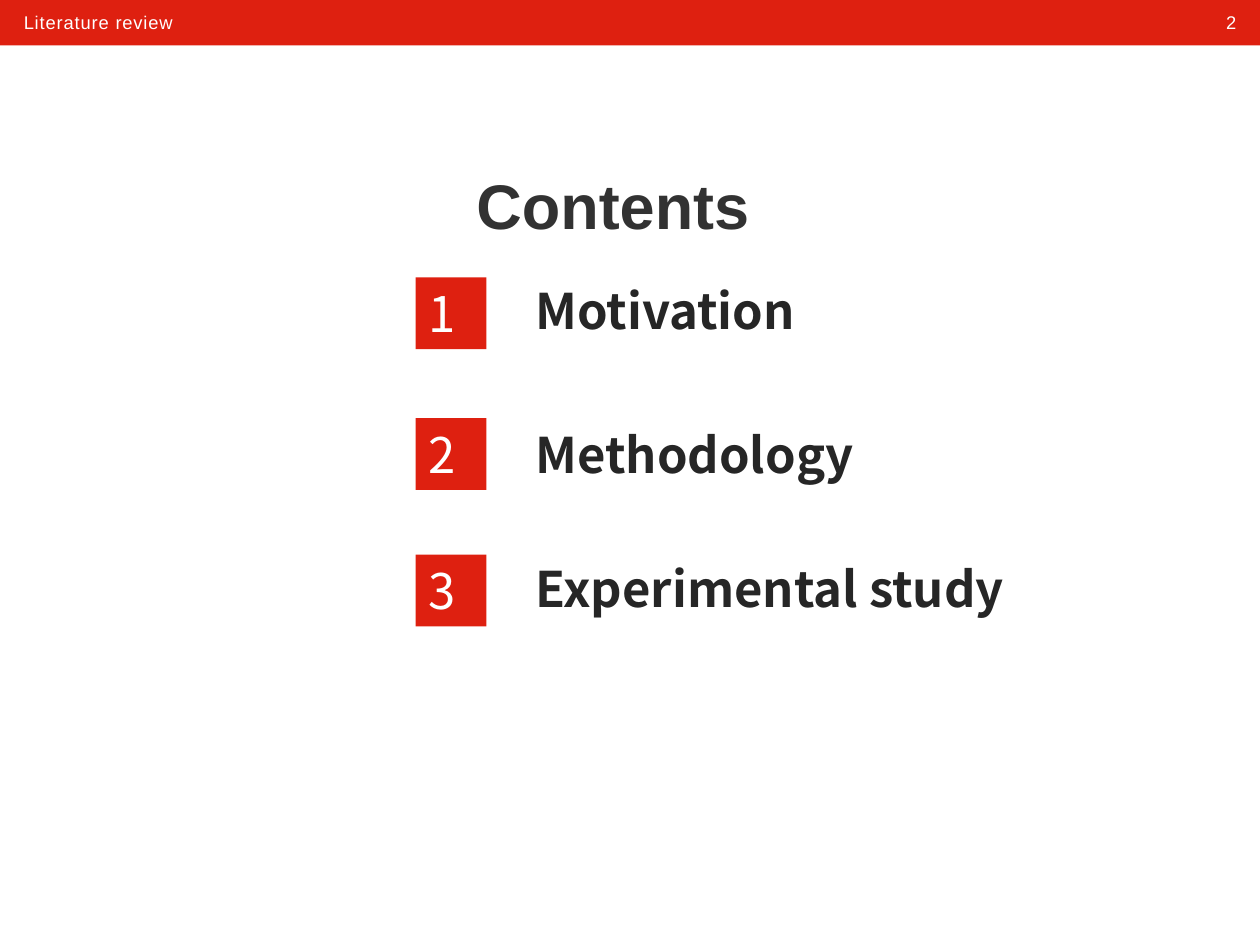
from dataclasses import dataclass

from pptx import Presentation
from pptx.dml.color import RGBColor
from pptx.enum.shapes import MSO_SHAPE
from pptx.enum.text import MSO_ANCHOR, MSO_AUTO_SIZE, PP_ALIGN
from pptx.shapes.autoshape import Shape
from pptx.slide import Slide
from pptx.util import Pt

RECT = MSO_SHAPE.RECTANGLE
LEFT, CENTER, RIGHT = PP_ALIGN.LEFT, PP_ALIGN.CENTER, PP_ALIGN.RIGHT
TOP, MIDDLE = MSO_ANCHOR.TOP, MSO_ANCHOR.MIDDLE
GROW, FIXED = MSO_AUTO_SIZE.SHAPE_TO_FIT_TEXT, MSO_AUTO_SIZE.NONE


@dataclass(frozen=True)
class TextStyle:
    font: str
    size: float
    color: str
    bold: bool = False
    spacing: float = 0


@dataclass(frozen=True)
class Theme:
    red: str = "DE2010"
    header: TextStyle = TextStyle("Arial", 10.5, "FFFFFF", spacing=0.5)
    title: TextStyle = TextStyle("Arial", 36, "323232", bold=True)
    number: TextStyle = TextStyle("Noto Sans CJK SC", 28, "FFFFFF")
    label: TextStyle = TextStyle("Noto Sans CJK SC", 28, "262626", bold=True)


@dataclass(frozen=True)
class Box:
    left: float
    top: float
    width: float
    height: float

    def lengths(self) -> tuple[Pt, Pt, Pt, Pt]:
        return Pt(self.left), Pt(self.top), Pt(self.width), Pt(self.height)


@dataclass(frozen=True)
class Entry:
    label: str
    number_top: float
    label_top: float


THEME = Theme()
SLIDE_W, SLIDE_H = 720, 540
ENTRY_H = 41
ENTRIES = (
    Entry("Motivation", 158.5, 157),
    Entry("Methodology", 239, 239),
    Entry("Experimental study", 317, 315.5),
)


def write(shape: Shape, text: str, style: TextStyle, align: PP_ALIGN = LEFT,
          anchor: MSO_ANCHOR = TOP, fit: MSO_AUTO_SIZE = GROW) -> None:
    tf = shape.text_frame
    tf.word_wrap = True
    tf.auto_size = fit
    tf.vertical_anchor = anchor
    p = tf.paragraphs[0]
    p.alignment = align
    r = p.add_run()
    r.text = text
    r.font.name = style.font
    r.font.size = Pt(style.size)
    r.font.bold = style.bold
    r.font.color.rgb = RGBColor.from_string(style.color)
    if style.spacing:
        r.font._element.set("spc", str(round(style.spacing * 100)))


def add_block(s: Slide, box: Box) -> Shape:
    """Add a red rectangle without outline or shadow."""
    sp = s.shapes.add_shape(RECT, *box.lengths())
    sp.shadow.inherit = False
    sp.fill.solid()
    sp.fill.fore_color.rgb = RGBColor.from_string(THEME.red)
    sp.line.fill.background()
    return sp


def add_text(s: Slide, box: Box, text: str, style: TextStyle, align: PP_ALIGN = LEFT,
             anchor: MSO_ANCHOR = TOP, fit: MSO_AUTO_SIZE = GROW) -> None:
    write(s.shapes.add_textbox(*box.lengths()), text, style, align, anchor, fit)


def add_header(s: Slide) -> None:
    add_block(s, Box(0, 0, SLIDE_W, 26))
    add_text(s, Box(661.5, 3, 52, 20), "2", THEME.header, RIGHT)
    add_text(s, Box(6.5, 3, 450, 20), "Literature review", THEME.header)


def add_entry(s: Slide, number: int, entry: Entry) -> None:
    block = add_block(s, Box(237.5, entry.number_top, 40.5, ENTRY_H))
    write(block, str(number), THEME.number)
    add_text(s, Box(299, entry.label_top, 373, ENTRY_H), entry.label, THEME.label)


def main() -> None:
    prs = Presentation()
    prs.slide_width, prs.slide_height = Pt(SLIDE_W), Pt(SLIDE_H)
    s = prs.slides.add_slide(prs.slide_layouts[6])
    add_header(s)
    add_text(s, Box(21.5, 93.5, 657.5, 46), "Contents", THEME.title, CENTER, MIDDLE, FIXED)
    for number, entry in enumerate(ENTRIES, start=1):
        add_entry(s, number, entry)
    prs.save("out.pptx")


if __name__ == "__main__":
    main()
